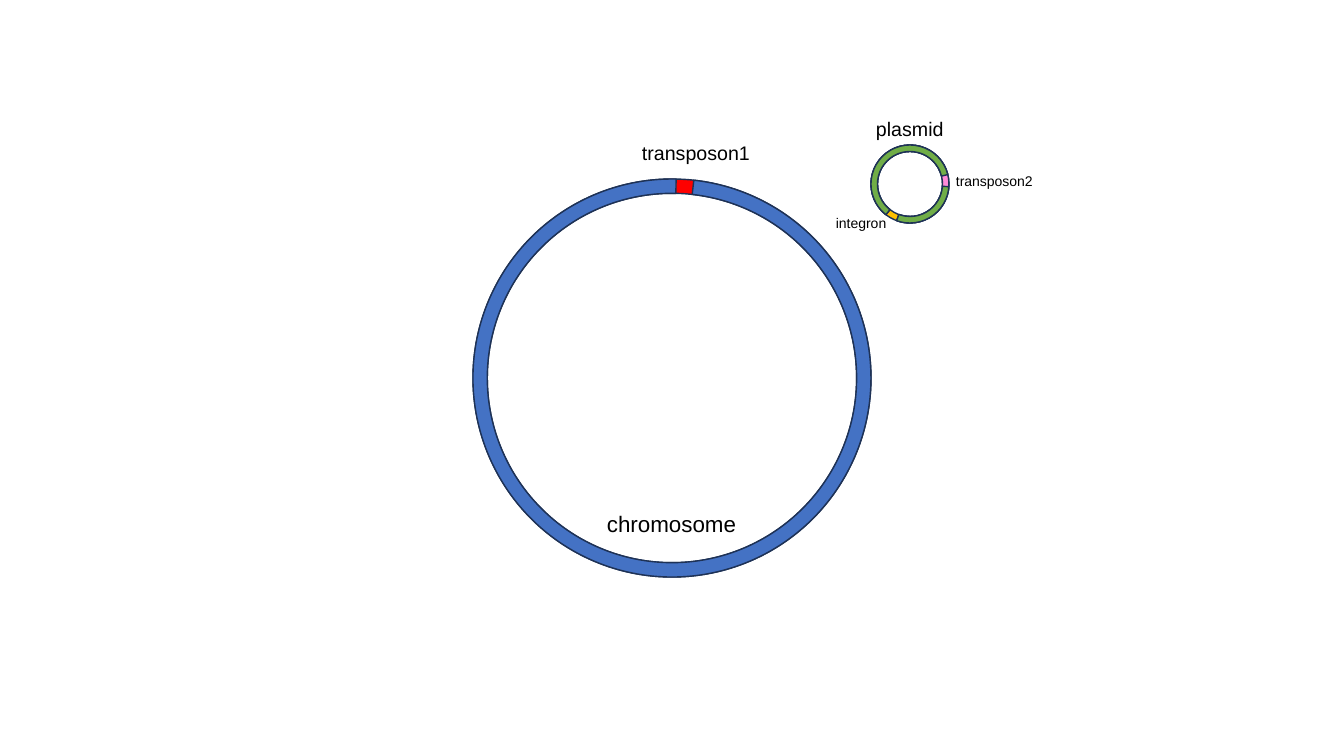
"""Draw a chromosome and a plasmid as rings with their mobile genetic elements."""
from pptx import Presentation
from pptx import util as u
from pptx.dml.color import RGBColor
from pptx.enum import shapes, text

PX = 914400 / 100.8
SLIDE_SIZE = (1344, 756)
FONT = "Arial"
DEGREE = 0.6

BLACK = RGBColor(0x00, 0x00, 0x00)
NAVY = RGBColor(0x1E, 0x32, 0x56)
BLUE = RGBColor(0x44, 0x72, 0xC4)
RED = RGBColor(0xFF, 0x00, 0x00)
ORANGE = RGBColor(0xFF, 0xC0, 0x00)
PINK = RGBColor(0xFF, 0x8A, 0xD8)
GREEN = RGBColor(0x70, 0xAD, 0x47)

# Arcs run clockwise; angles are degrees clockwise from the top of the ring.
RINGS = [
    {"center": (672, 378), "radius": 199, "thickness": 0.036, "base": RED,
     "arcs": [(BLUE, 6.3, 1.2)]},
    {"center": (910, 184), "radius": 39, "thickness": 0.083, "base": ORANGE,
     "arcs": [(PINK, 218, 200), (GREEN, 218, 76), (GREEN, 94, 200)]},
]
LABELS = [
    ("transposon1", (632, 136, 129, 34), 14),
    ("plasmid", (866, 112, 89, 34), 14),
    ("integron", (826, 210, 72, 27), 10),
    ("transposon2", (946, 168, 98, 27), 10),
    ("chromosome", (597, 505, 151, 37), 16),
]


def emu(px):
    return u.Emu(round(px * PX))


def add_round(page, kind, ring, color, adjustments):
    (x, y), radius = ring["center"], ring["radius"]
    area = (x - radius, y - radius, 2 * radius, 2 * radius)
    shape = page.shapes.add_shape(kind, *map(emu, area))
    for index, value in enumerate(adjustments):
        shape.adjustments[index] = value
    shape.shadow.inherit = False
    shape.fill.solid()
    shape.fill.fore_color.rgb = color
    shape.line.color.rgb = NAVY
    shape.line.width = u.Pt(1)


def add_ring(page, ring):
    thickness = ring["thickness"]
    add_round(page, shapes.MSO_SHAPE.DONUT, ring, ring["base"], [thickness])
    for color, *ends in ring["arcs"]:
        angles = [(end - 90) % 360 * DEGREE for end in ends]
        add_round(page, shapes.MSO_SHAPE.BLOCK_ARC, ring, color,
                  [*angles, thickness])


def add_label(page, words, *, area, size, color=BLACK):
    box = page.shapes.add_textbox(*map(emu, area))
    frame = box.text_frame
    frame.word_wrap = False
    frame.auto_size = text.MSO_AUTO_SIZE.SHAPE_TO_FIT_TEXT
    span = frame.paragraphs[0].add_run()
    span.text = words
    span.font.name = FONT
    span.font.size = u.Pt(size)
    span.font.color.rgb = color


def main():
    deck = Presentation()
    deck.slide_width, deck.slide_height = map(emu, SLIDE_SIZE)
    page = deck.slides.add_slide(deck.slide_layouts[6])
    for ring in RINGS:
        add_ring(page, ring)
    for words, area, size in LABELS:
        add_label(page, words, area=area, size=size)
    deck.save("out.pptx")


if __name__ == "__main__":
    main()
